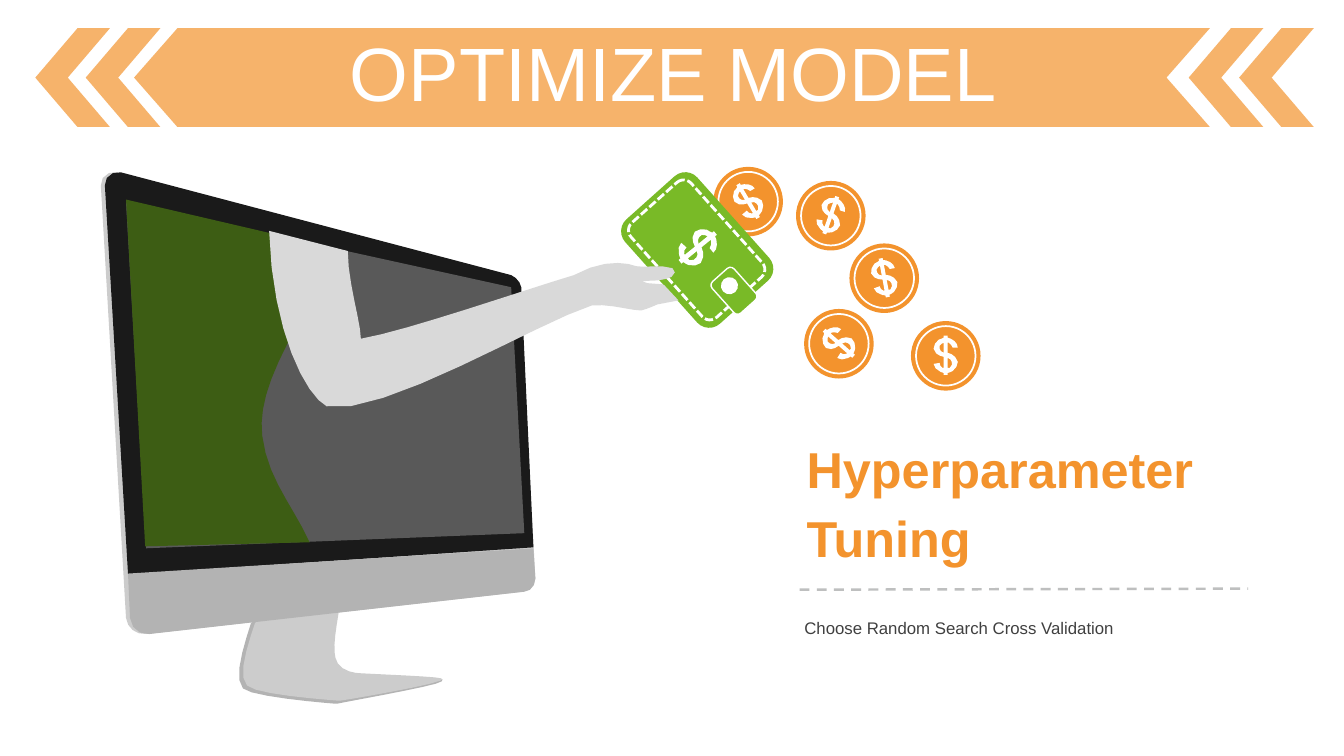
from dataclasses import dataclass
from math import ceil, cos, dist, radians, sin, sqrt

from lxml.etree import SubElement
from pptx import Presentation
from pptx.dml.color import RGBColor
from pptx.enum.dml import MSO_LINE
from pptx.enum.shapes import MSO_CONNECTOR, MSO_SHAPE
from pptx.enum.text import MSO_ANCHOR, MSO_AUTO_SIZE, PP_ALIGN
from pptx.oxml.ns import qn
from pptx.util import Inches, Pt

Point = tuple[float, float]
Contour = list[Point]
Box = tuple[float, float, float, float]

ORANGE, GREEN, WHITE = "F3932D", "79BA27", "FFFFFF"
BAND_OPACITY = 70
COIN_RADIUS, RING_RADIUS = 0.345, 0.295


@dataclass
class Outline:
    path_text: str
    color: str


@dataclass
class Preset:
    kind: MSO_SHAPE
    box: Box
    fill: str | None = None
    line: str | None = None
    line_width: float = 0
    dash: MSO_LINE | None = None
    rotation: float = 0
    adjustment: float | None = None
    opacity: int = 100


@dataclass
class Coin:
    center: Point
    rotation: float


@dataclass
class TextBlock:
    text: str
    box: Box
    size: float
    color: str
    bold: bool = False
    anchor: MSO_ANCHOR = MSO_ANCHOR.TOP
    alignment: PP_ALIGN = PP_ALIGN.LEFT
    line_spacing: float | Pt = 1.0
    side_margin: float = 0.1
    auto_size: MSO_AUTO_SIZE = MSO_AUTO_SIZE.SHAPE_TO_FIT_TEXT


DOLLAR = """M .02 .02 C .04 .03 .06 .04 .06 .06 C .07 .08 .06 .10 .04 .12 L .02 .12
M -.02 -.13 L -.02 -.03 C -.04 -.04 -.06 -.05 -.06 -.07 C -.07 -.09 -.06 -.11 -.04 -.12
M -.02 -.20 L -.02 -.18 C -.03 -.17 -.05 -.17 -.07 -.16 C -.10 -.14 -.12 -.10 -.12 -.07
C -.10 -.01 -.06 0 -.02 .01 L -.02 .12 L -.03 .12
C -.05 .11 -.06 .09 -.06 .07 L -.12 .08 C -.12 .11 -.09 .14 -.05 .16
L -.02 .17 L -.02 .19 L .02 .19 L .02 .17 C .03 .17 .05 .16 .07 .15
C .10 .13 .12 .09 .12 .06 C .10 0 .06 -.02 .02 -.03 L .02 -.13
L .03 -.13 C .05 -.12 .06 -.10 .07 -.08 L .12 -.08
C .12 -.12 .09 -.15 .05 -.17 L .02 -.18 L .02 -.20"""
BAND = "M 1.76 .28 L 12 .28 L 11.57 .77 L 12 1.26 L 1.76 1.26 L 1.33 .77"
ARM = """M 2.67 2.29 L 3.45 2.49 C 3.45 2.8 3.58 3.2 3.58 3.36 C 4.04 3.28 5.22 2.87 5.69 2.73
C 5.98 2.57 6.2 2.6 6.31 2.64 C 6.38 2.66 6.56 2.62 6.67 2.66 C 6.73 2.69 6.67 2.77 6.59 2.77
C 6.53 2.79 6.44 2.78 6.37 2.79 C 6.41 2.82 6.49 2.81 6.57 2.82 L 6.59 2.83 L 6.73 2.98
L 6.52 3.02 C 6.48 3.04 6.4 3.07 6.36 3.08 C 6.25 3.08 6.04 3.01 5.87 3.03
C 5.35 3.19 3.77 4.15 3.24 4.03 C 3.04 3.93 2.7 3.3 2.67 2.29"""
ARM_CENTER, ARM_ROTATION = (4.6, 3.29), 9
MONITOR = [
    Outline("""M 3.33 6.07 C 3.3 6.27 3.28 6.38 3.29 6.5 C 3.29 6.53 3.3 6.55 3.32 6.59
        C 3.37 6.68 3.49 6.7 3.56 6.7 C 3.79 6.71 4.26 6.73 4.34 6.74 L 4.39 6.74 L 4.38 6.76
        C 4.35 6.8 3.49 6.95 3.35 6.98 L 3.31 6.98
        C 3.18 6.97 2.49 6.91 2.41 6.83 C 2.31 6.73 2.42 6.4 2.49 6.18
        C 2.46 6.16 2.88 6.11 3.33 6.07""", "B3B3B3"),
    Outline("""M 3.36 6.07 C 3.33 6.26 3.31 6.37 3.32 6.48 C 3.32 6.51 3.33 6.54 3.35 6.58
        C 3.4 6.66 3.52 6.68 3.59 6.68 C 3.76 6.69 4.31 6.71 4.38 6.73
        C 4.51 6.76 3.52 6.93 3.38 6.95 L 3.34 6.95
        C 3.22 6.94 2.53 6.89 2.45 6.8 C 2.35 6.71 2.46 6.39 2.53 6.18
        C 2.5 6.15 2.92 6.1 3.36 6.07""", "CCCCCC"),
    Outline("""M 1.45 6.29 L 5.19 5.87 C 5.26 5.86 5.31 5.8 5.31 5.74 L 5.16 2.96
        C 5.16 2.79 5.12 2.75 5.06 2.73 L 1.16 1.71 C 1.08 1.69 .99 1.76 1 1.84 L 1.25 6.13
        C 1.26 6.23 1.35 6.3 1.45 6.29""", "CCCCCC"),
    Outline("""M 1.27 5.7 L 5.29 5.43 L 5.17 2.85 C 5.16 2.8 5.12 2.75 5.07 2.73 L 1.2 1.71
        C 1.12 1.69 1.03 1.76 1.04 1.84""", "1A1A1A"),
    Outline("""M 5.29 5.44 L 5.31 5.74 C 5.31 5.81 5.26 5.87 5.2 5.87 L 1.48 6.29
        C 1.38 6.3 1.3 6.23 1.29 6.13 L 1.27 5.69""", "B3B3B3"),
    Outline("M 5.07 2.85 L 1.25 2.01 L 1.45 5.44 L 5.2 5.29", "595959"),
    Outline("""M 2.88 2.36 L 2.98 3.17 C 2.67 3.72 2.57 4.03 2.6 4.32
        C 2.65 4.75 2.92 5.04 3.07 5.38 L 1.44 5.42 L 1.25 1.98""", "3D5D14"),
]
COINS = [Coin((7.42, 2.0), 329.3), Coin((8.24, 2.14), 19.2), Coin((9.38, 3.53), 0),
         Coin((8.32, 3.41), 311.4), Coin((8.77, 2.76), 349.6)]
CHEVRONS = [Preset(MSO_SHAPE.CHEVRON, (left, 0.28, 0.74, 0.98), ORANGE, rotation=180,
                   adjustment=0.565, opacity=BAND_OPACITY) for left in (0.35, 0.85, 11.79, 12.29)]
TILT = 48.2
ROUNDED = MSO_SHAPE.ROUNDED_RECTANGLE
WALLET = [
    Preset(ROUNDED, (6.22, 2, 1.39, 0.96), GREEN, rotation=TILT),
    Preset(ROUNDED, (6.28, 2.08, 1.26, 0.8), None, WHITE, 2, MSO_LINE.SQUARE_DOT, TILT, 0.126),
    Preset(ROUNDED, (7.07, 2.74, 0.42, 0.29), GREEN, WHITE, 1, rotation=TILT),
    Preset(MSO_SHAPE.OVAL, (7.15, 2.75, 0.17, 0.17), WHITE, rotation=TILT),
]
TITLE = TextBlock("OPTIMIZE MODEL", (0.35, 0.37, 12.66, 0.79), 54, WHITE,
                  anchor=MSO_ANCHOR.MIDDLE, alignment=PP_ALIGN.CENTER, line_spacing=0.9,
                  auto_size=MSO_AUTO_SIZE.NONE)
CAPTIONS = [
    TextBlock("Choose Random Search Cross Validation", (7.88, 6.08, 4.5, 0.3), 12, "404040"),
    TextBlock("Hyperparameter Tuning", (7.88, 4.24, 4.5, 1.42), 36, ORANGE, bold=True,
              anchor=MSO_ANCHOR.MIDDLE, line_spacing=Pt(49), side_margin=0.12),
]


def trace(path_text: str) -> list[Contour]:
    contours: list[Contour] = []
    tokens = iter(path_text.split())
    for command in tokens:
        count = 3 if command == "C" else 1
        points = [(float(next(tokens)), float(next(tokens))) for _ in range(count)]
        if command == "M":
            contours.append(points)
        elif command == "L":
            contours[-1].extend(points)
        else:
            controls = [contours[-1][-1], *points]
            steps = min(8, ceil(6 * sqrt(dist(controls[0], controls[-1]))))
            for step in range(1, steps + 1):
                t = step / steps
                weights = ((1 - t) ** 3, 3 * t * (1 - t) ** 2, 3 * t * t * (1 - t), t ** 3)
                contours[-1].append(tuple(
                    sum(w * control[axis] for w, control in zip(weights, controls))
                    for axis in (0, 1)))
    return contours


def place(contours: list[Contour], center: Point, scale: float = 1) -> list[Contour]:
    return [[(center[0] + scale * x, center[1] + scale * y) for x, y in contour]
            for contour in contours]


def spin(contours: list[Contour], center: Point, degrees: float) -> list[Contour]:
    c, s = cos(radians(degrees)), sin(radians(degrees))
    return [[(center[0] + c * (x - center[0]) - s * (y - center[1]),
              center[1] + s * (x - center[0]) + c * (y - center[1])) for x, y in contour]
            for contour in contours]


def paint(target, color: str, opacity: int = 100) -> None:
    target.solid()
    target.fore_color.rgb = RGBColor.from_string(color)
    if opacity < 100:
        color_element = target._xPr.find(qn("a:solidFill"))[0]
        SubElement(color_element, qn("a:alpha")).set("val", str(opacity * 1000))


def draw_outline(slide, contours: list[Contour], color: str, rotation: float = 0,
                 opacity: int = 100) -> None:
    scaled = [[(Inches(x), Inches(y)) for x, y in contour] for contour in contours]
    builder = slide.shapes.build_freeform(*scaled[0][0], scale=1.0)
    for index, contour in enumerate(scaled):
        if index:
            builder.move_to(*contour[0])
        builder.add_line_segments(contour[1:], close=True)
    shape = builder.convert_to_shape()
    shape.shadow.inherit = False
    shape.rotation = rotation
    paint(shape.fill, color, opacity)
    shape.line.fill.background()


def draw_preset(slide, preset: Preset) -> None:
    shape = slide.shapes.add_shape(preset.kind, *map(Inches, preset.box))
    shape.shadow.inherit = False
    shape.rotation = preset.rotation
    if preset.adjustment is not None:
        shape.adjustments[0] = preset.adjustment
    if preset.fill:
        paint(shape.fill, preset.fill, preset.opacity)
    else:
        shape.fill.background()
    if preset.line:
        paint(shape.line.fill, preset.line)
        shape.line.width = Pt(preset.line_width)
        shape.line.dash_style = preset.dash
    else:
        shape.line.fill.background()


def draw_coin(slide, coin: Coin, dollar: list[Contour]) -> None:
    x, y = coin.center
    for radius, line in ((COIN_RADIUS, None), (RING_RADIUS, WHITE)):
        box = (x - radius, y - radius, 2 * radius, 2 * radius)
        draw_preset(slide, Preset(MSO_SHAPE.OVAL, box, ORANGE, line, 1.25))
    draw_outline(slide, place(dollar, coin.center), WHITE, coin.rotation)


def draw_text(slide, block: TextBlock) -> None:
    frame = slide.shapes.add_textbox(*map(Inches, block.box)).text_frame
    frame.word_wrap = True
    frame.auto_size = block.auto_size
    frame.vertical_anchor = block.anchor
    frame.margin_left = frame.margin_right = Inches(block.side_margin)
    paragraph = frame.paragraphs[0]
    paragraph.text = block.text
    paragraph.alignment = block.alignment
    paragraph.line_spacing = block.line_spacing
    paragraph.font.name = "Arial"
    paragraph.font.size = Pt(block.size)
    paragraph.font.bold = block.bold
    paint(paragraph.font.fill, block.color)


def draw_divider(slide) -> None:
    ends = map(Inches, (7.93, 5.85, 12.38, 5.84))
    divider = slide.shapes.add_connector(MSO_CONNECTOR.STRAIGHT, *ends)
    paint(divider.line.fill, "BEBFBF")
    divider.line.width = Pt(1.75)
    divider.line.dash_style = MSO_LINE.DASH
    SubElement(divider._element.spPr, qn("a:effectLst"))


def main() -> None:
    presentation = Presentation()
    presentation.slide_width, presentation.slide_height = Inches(13.33), Inches(7.5)
    slide = presentation.slides.add_slide(presentation.slide_layouts[6])
    dollar = trace(DOLLAR)

    for chevron in CHEVRONS:
        draw_preset(slide, chevron)
    draw_outline(slide, trace(BAND), ORANGE, opacity=BAND_OPACITY)
    for coin in COINS:
        draw_coin(slide, coin, dollar)
    draw_text(slide, TITLE)
    for outline in MONITOR:
        draw_outline(slide, trace(outline.path_text), outline.color)
    for caption in CAPTIONS:
        draw_text(slide, caption)
    draw_divider(slide)
    for preset in WALLET:
        draw_preset(slide, preset)
    draw_outline(slide, place(dollar, (6.92, 2.46), 1.16), WHITE, 50.9)
    draw_outline(slide, spin(trace(ARM), ARM_CENTER, -ARM_ROTATION), "D9D9D9", ARM_ROTATION)
    presentation.save("out.pptx")


if __name__ == "__main__":
    main()
